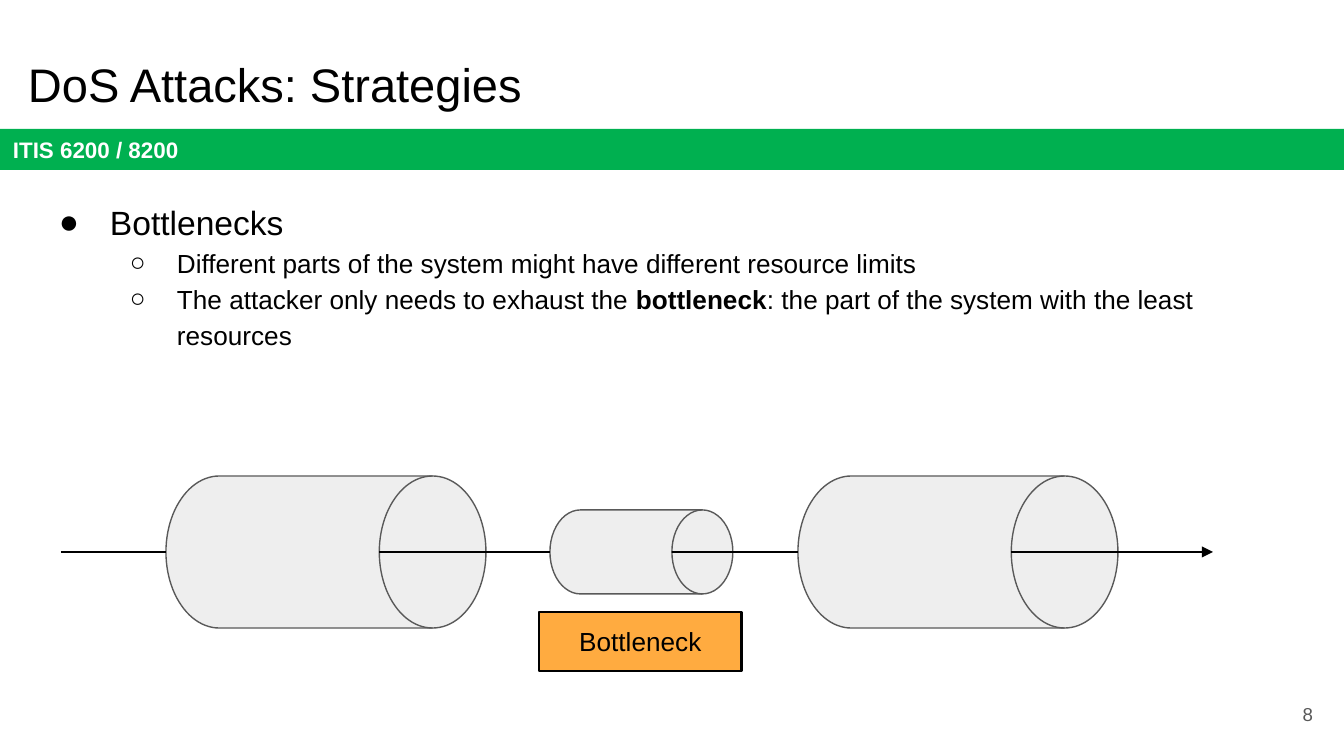
from lxml import etree
from pptx import Presentation
from pptx.dml.color import RGBColor
from pptx.enum.shapes import MSO_CONNECTOR, MSO_SHAPE
from pptx.enum.text import MSO_ANCHOR, PP_ALIGN
from pptx.oxml.ns import qn
from pptx.util import Pt

RECT = MSO_SHAPE.RECTANGLE
DRUM = MSO_SHAPE.FLOWCHART_DIRECT_ACCESS_STORAGE
LINE = MSO_CONNECTOR.STRAIGHT
TOP, MID, LOW = MSO_ANCHOR.TOP, MSO_ANCHOR.MIDDLE, MSO_ANCHOR.BOTTOM
LEFT, MIDST, RIGHT = PP_ALIGN.LEFT, PP_ALIGN.CENTER, PP_ALIGN.RIGHT
INK = {"black": "000000", "white": "FFFFFF", "green": "00B050",
       "gray": "595959", "pale": "EEEEEE", "amber": "FFAB40"}
FONT = "Arial"
PAD = 13


def px(num):
    """Turn pixels into EMU."""
    return round(num * 914400 / 134.4)


def tint(name):
    """Look up a colour by name."""
    return RGBColor.from_string(INK[name])


def setup(frame, anchor):
    """Set wrapping, margins and anchor of a text frame."""
    frame.word_wrap = True
    frame.vertical_anchor = anchor
    frame.margin_left = frame.margin_right = px(PAD)
    frame.margin_top = frame.margin_bottom = px(PAD)


def write(para, text, size, ink="black", bold=False):
    """Add one run to a paragraph."""
    run = para.add_run()
    run.text = text
    font = run.font
    font.name, font.size, font.bold = FONT, Pt(size), bold
    font.color.rgb = tint(ink)


def label(frame, text, size, ink, bold, align, anchor):
    """Fill a text frame with a single line."""
    setup(frame, anchor)
    para = frame.paragraphs[0]
    para.alignment = align
    write(para, text, size, ink, bold)


def note(slide, box, text, size, ink="black", align=LEFT, anchor=TOP):
    """Place a text box with a single line."""
    area = slide.shapes.add_textbox(*map(px, box))
    label(area.text_frame, text, size, ink, False, align, anchor)


def block(slide, kind, box, fill, edge=None, width=0.75):
    """Place a filled shape."""
    shape = slide.shapes.add_shape(kind, *map(px, box))
    shape.shadow.inherit = False
    shape.fill.solid()
    shape.fill.fore_color.rgb = tint(fill)
    if edge:
        shape.line.color.rgb = tint(edge)
        shape.line.width = Pt(width)
    else:
        shape.line.fill.background()
    return shape


def bullet(para, mark, left, hang):
    """Give a paragraph a hanging bullet."""
    props = para._p.get_or_add_pPr()
    props.set("marL", str(px(left)))
    props.set("indent", str(-px(hang)))
    shade = etree.SubElement(props, qn("a:buClr"))
    etree.SubElement(shade, qn("a:srgbClr")).set("val", INK["black"])
    etree.SubElement(props, qn("a:buFont")).set("typeface", FONT)
    etree.SubElement(props, qn("a:buChar")).set("char", mark)


def points(slide, box, items):
    """Place the bulleted list."""
    frame = slide.shapes.add_textbox(*map(px, box)).text_frame
    setup(frame, TOP)
    styles = [("●", 67, 51, 18), ("○", 134, 47, 14)]
    for num, (level, runs) in enumerate(items):
        para = frame.add_paragraph() if num else frame.paragraphs[0]
        mark, left, hang, size = styles[level]
        para.level = level
        para.line_spacing = 1.15
        bullet(para, mark, left, hang)
        for text, bold in runs:
            write(para, text, size, bold=bold)


def wire(slide, start, end, y, arrow=False):
    """Draw a level line, with an arrowhead if asked."""
    line = slide.shapes.add_connector(LINE, px(start), px(y), px(end), px(y))
    line.line.color.rgb = tint("black")
    line.line.width = Pt(1.5)
    if arrow:
        head = etree.SubElement(line.line._get_or_add_ln(), qn("a:tailEnd"))
        head.set("type", "triangle")
    etree.SubElement(line._element.spPr, qn("a:effectLst"))


def header(slide, box):
    """Place the title and the course band."""
    x, y, w, h = box
    note(slide, (x + 15, y + 40, w - 91, 85), "DoS Attacks: Strategies",
         25.2, anchor=LOW)
    band = block(slide, RECT, (x, y + h - 41, w, 41), "green")
    label(band.text_frame, "ITIS 6200 / 8200", 12, "white", True, LEFT, MID)


def flow(slide, box):
    """Draw the pipes, the flow through them and the tag."""
    x, y, w, h = box
    mid = y + 76
    pipes = [(105, 320, 152), (737, 320, 152), (489, 183, 84)]
    for left, wide, high in pipes:
        block(slide, DRUM, (x + left, mid - high // 2, wide, high),
              "pale", "gray")
    start = 0
    for left, wide, _ in sorted(pipes):
        wire(slide, x + start, x + left, mid)
        start = left + wide * 2 // 3
    wire(slide, x + start, x + w, mid, True)
    tag = block(slide, RECT, (x + 478, y + h - 59, 203, 59),
                "amber", "black", 1.5)
    label(tag.text_frame, "Bottleneck", 14, "black", False, MIDST, MID)


def main():
    """Build and save the slide."""
    deck = Presentation()
    deck.slide_width, deck.slide_height = px(1344), px(756)
    slide = deck.slides.add_slide(deck.slide_layouts[6])
    header(slide, (0, 0, 1344, 170))
    points(slide, (30, 183, 1253, 554), [
        (0, [("Bottlenecks", False)]),
        (1, [("Different parts of the system might have different "
              "resource limits", False)]),
        (1, [("The attacker only needs to exhaust the ", False),
             ("bottleneck", True),
             (": the part of the system with the least resources", False)]),
    ])
    flow(slide, (61, 476, 1152, 195))
    note(slide, (1246, 685, 80, 58), "8", 10, "gray", RIGHT, MID)
    deck.save("out.pptx")


if __name__ == "__main__":
    main()
